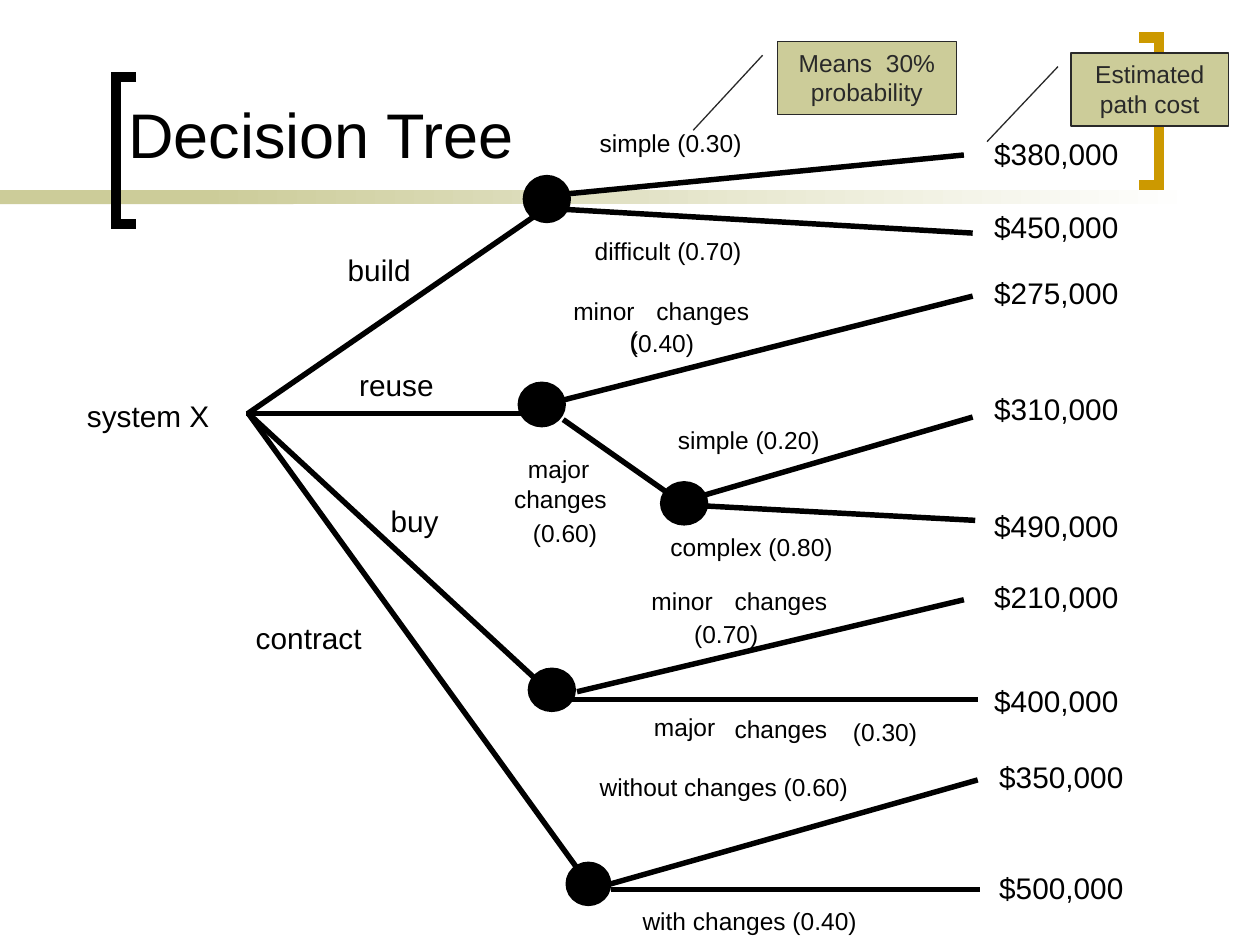
from pptx import Presentation
from pptx.dml.color import RGBColor
from pptx.enum.shapes import MSO_CONNECTOR, MSO_SHAPE
from pptx.enum.text import MSO_ANCHOR, MSO_AUTO_SIZE, PP_ALIGN
from pptx.oxml.ns import qn
from pptx.util import Pt
from lxml import etree

PX = 9144  # 100 px to the inch
BLACK = RGBColor(0x00, 0x00, 0x00)
WHITE = RGBColor(0xFF, 0xFF, 0xFF)
KHAKI = RGBColor(0xCC, 0xCC, 0x99)
GOLD = RGBColor(0xCC, 0x99, 0x00)
CHARCOAL = RGBColor(0x29, 0x29, 0x29)
STRAIGHT = MSO_CONNECTOR.STRAIGHT
RECTANGLE, OVAL = MSO_SHAPE.RECTANGLE, MSO_SHAPE.OVAL
CALLOUT = MSO_SHAPE.LINE_CALLOUT_1
TOP, BOTTOM = MSO_ANCHOR.TOP, MSO_ANCHOR.BOTTOM
FIT_SHAPE = MSO_AUTO_SIZE.SHAPE_TO_FIT_TEXT
CENTER = PP_ALIGN.CENTER
BRANCH_WIDTH = Pt(3.12)
LABEL_SLACK = 3  # keeps each label on one line


def add_shape(kind, left, top, width, height, fill):
    shape = page.shapes.add_shape(kind, left * PX, top * PX, width * PX, height * PX)
    shape.shadow.inherit = False
    shape.fill.solid()
    shape.fill.fore_color.rgb = fill
    shape.line.fill.background()
    return shape


def write(shape, text, size, color):
    shape.text_frame.text = text
    font = shape.text_frame.paragraphs[0].runs[0].font
    font.name, font.size = "Arial", Pt(size)
    font.color.rgb = color


deck = Presentation()
deck.slide_width, deck.slide_height = 1000 * PX, 750 * PX
page = deck.slides.add_slide(deck.slide_layouts[6])

# Band behind the title, fading out to the right
add_shape(RECTANGLE, 0, 151, 233, 11, KHAKI)
fading_band = add_shape(RECTANGLE, 158, 151, 792, 11, KHAKI)
fading_band.fill.gradient()
fading_band.fill.gradient_angle = 0
for stop, color in zip(fading_band.fill.gradient_stops, (KHAKI, WHITE)):
    stop.color.rgb = color

# Brackets: tip of the arms, spine, top, colour
for arm_x, spine_x, top, color in ((108, 92, 61, BLACK), (904, 920, 30, GOLD)):
    bottom = top + 117
    outline = page.shapes.build_freeform(arm_x, top, scale=PX)
    outline.add_line_segments(
        [(spine_x, top), (spine_x, bottom), (arm_x, bottom)], close=False)
    bracket = outline.convert_to_shape()
    bracket.shadow.inherit = False
    bracket.fill.background()
    bracket.line.color.rgb = color
    bracket.line.width = Pt(6)
    line_properties = bracket._element.spPr.find(qn("a:ln"))
    etree.SubElement(line_properties, qn("a:miter"), lim="800000")

title = page.shapes.add_textbox(92 * PX, 52 * PX, 783 * PX, 89 * PX)
title.text_frame.word_wrap = True
title.text_frame.vertical_anchor = BOTTOM
write(title, "Decision Tree", 36, BLACK)

# Callouts: text, left, top, width, horizontal reach of the pointer
callouts = (
    ("Estimated path cost", 850, 42, 125, -0.533),
    ("Means  30% probability", 617, 33, 142, -0.471),
)
for text, left, top, width, reach in callouts:
    callout = add_shape(CALLOUT, left, top, width, 58, KHAKI)
    for index, value in enumerate((0.188, -0.083, 1.214, reach)):
        callout.adjustments[index] = value
    callout.line.color.rgb = CHARCOAL
    callout.line.width = Pt(0.75)
    callout.text_frame.word_wrap = True
    callout.text_frame.vertical_anchor = TOP
    write(callout, text, 14, CHARCOAL)
    callout.text_frame.paragraphs[0].alignment = CENTER

# Branches: start x, y, end x, y
branches = (
    (197, 328, 428, 169), (195, 328, 436, 328),
    (197, 328, 436, 549), (197, 328, 466, 700),
    (449, 154, 765, 123), (445, 166, 772, 185),
    (445, 318, 772, 235), (447, 333, 541, 399),
    (552, 395, 772, 331), (549, 401, 774, 413),
    (458, 549, 765, 476), (453, 555, 776, 555),
    (483, 702, 776, 619), (485, 706, 778, 706),
)
for ends in branches:
    branch = page.shapes.add_connector(STRAIGHT, *(value * PX for value in ends))
    branch.line.color.rgb = BLACK
    branch.line.width = BRANCH_WIDTH
    etree.SubElement(branch._element.spPr, qn("a:effectLst"))

# Nodes: left, top, width, height
nodes = (
    (417, 141, 34, 34), (413, 305, 34, 32), (421, 532, 34, 31),
    (526, 384, 34, 31), (451, 686, 32, 31),
)
for place in nodes:
    node = add_shape(OVAL, *place, BLACK)
    node.line.color.rgb = BLACK
    node.line.width = BRANCH_WIDTH

# Labels: text, left, top, width of the text
choices = [
    ("system X", 69, 316, 97), ("build", 276, 200, 50), ("reuse", 285, 291, 59),
    ("buy", 310, 399, 38), ("contract", 203, 492, 84),
]
costs = [
    ("$380,000", 789, 108), ("$450,000", 789, 166), ("$275,000", 789, 218),
    ("$310,000", 789, 310), ("$490,000", 789, 403), ("$210,000", 789, 459),
    ("$400,000", 789, 542), ("$350,000", 793, 602), ("$500,000", 793, 690),
]
outcomes = [
    ("simple (0.30)", 476, 102, 113), ("difficult (0.70)", 472, 187, 117),
    ("minor", 455, 235, 49), ("changes", 521, 235, 74),
    ("(0.40)", 500, 260, 51), ("(", 500, 258, 7),
    ("major", 419, 360, 49), ("changes", 408, 384, 74), ("(0.60)", 423, 411, 51),
    ("simple (0.20)", 538, 337, 113), ("complex (0.80)", 532, 422, 129),
    ("minor", 517, 465, 49), ("changes", 583, 465, 74), ("(0.70)", 551, 491, 51),
    ("major", 519, 565, 49), ("changes", 583, 567, 74), ("(0.30)", 677, 569, 51),
    ("without changes (0.60)", 476, 613, 197), ("with changes (0.40)", 510, 719, 170),
]
large_labels = choices + [(*cost, 99) for cost in costs]
for labels, size, height in ((large_labels, 17, 28), (outcomes, 14, 23)):
    for text, left, top, width in labels:
        box = page.shapes.add_textbox(
            left * PX, top * PX, (width + LABEL_SLACK) * PX, height * PX)
        frame = box.text_frame
        frame.margin_left = frame.margin_top = frame.margin_right = frame.margin_bottom = 0
        frame.word_wrap = False
        frame.auto_size = FIT_SHAPE
        write(box, text, size, BLACK)

deck.save("out.pptx")
